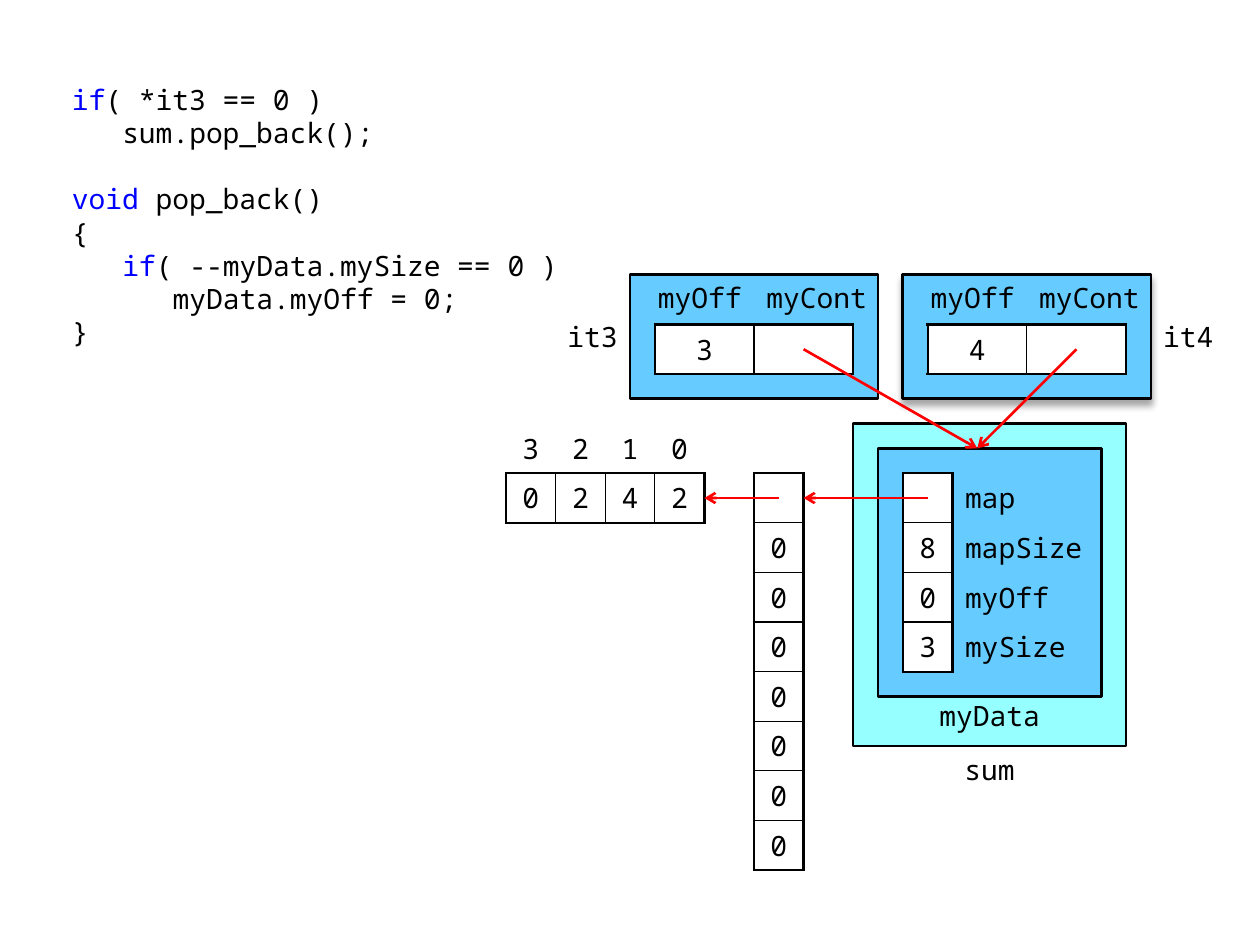
from pptx import Presentation
from pptx.dml.color import RGBColor
from pptx.enum.shapes import MSO_CONNECTOR, MSO_SHAPE
from pptx.enum.text import MSO_ANCHOR, PP_ALIGN
from pptx.oxml import parse_xml
from pptx.oxml.ns import nsdecls, qn
from pptx.util import Cm, Inches, Pt

LEFT, CENTER, RIGHT = PP_ALIGN.LEFT, PP_ALIGN.CENTER, PP_ALIGN.RIGHT
TOP, MIDDLE = MSO_ANCHOR.TOP, MSO_ANCHOR.MIDDLE
PROCESS = MSO_SHAPE.FLOWCHART_PROCESS
STRAIGHT = MSO_CONNECTOR.STRAIGHT

COLORS = {"text": "000000", "keyword": "0000FF", "arrow": "FF0000",
          "container": "96FFFF", "object": "66CCFF", "cell": "FFFFFF"}
PLAIN_TABLE = "{2D5ABB26-0587-4C30-8999-92F81FD0307C}"


class Diagram:
    """Draws on a grid of one-centimetre cells."""
    font, size, thick, thin = "Noto Sans Mono", 16, 1.5, 0.75
    line_height, indent = 19, 0.4
    left, top = 0.2, 0.54

    def __init__(self, slide):
        self.slide = slide

    def point(self, column, row):
        return Cm(self.left + column), Cm(self.top + row)

    def area(self, column, row, width, height):
        return *self.point(column, row), Cm(width), Cm(height)

    def color(self, name):
        return RGBColor.from_string(COLORS[name])

    def run(self, paragraph, text, color="text"):
        run = paragraph.add_run()
        run.text = text
        run.font.name, run.font.size = self.font, Pt(self.size)
        run.font.color.rgb = self.color(color)

    def label(self, column, row, width, height, text, align=CENTER,
              anchor=TOP, inset=0.05):
        frame = self.slide.shapes.add_textbox(
            *self.area(column, row, width, height)).text_frame
        frame.word_wrap, frame.vertical_anchor = True, anchor
        frame.margin_left = Inches(0.1 if align == LEFT else 0.02)
        frame.margin_right = Inches(0.1 if align == RIGHT else 0.02)
        frame.margin_top, frame.margin_bottom = Inches(inset), 0
        if anchor == MIDDLE:
            frame.margin_bottom = frame.margin_top
        frame.paragraphs[0].alignment = align
        self.run(frame.paragraphs[0], text)

    def code(self, column, row, width, height, lines):
        """Each line is (indent level, lines skipped before it, runs)."""
        frame = self.slide.shapes.add_textbox(
            *self.area(column, row, width, height)).text_frame
        frame.word_wrap = True
        for index, (level, skipped, runs) in enumerate(lines):
            paragraph = frame.add_paragraph() if index else frame.paragraphs[0]
            paragraph.line_spacing = Pt(self.line_height)
            paragraph.space_before = Pt(skipped * self.line_height)
            properties = paragraph._p.get_or_add_pPr()
            properties.set("marL", str(Inches(level * self.indent)))
            for text, color in runs:
                self.run(paragraph, text, color)

    def box(self, column, row, width, height, fill, shadow=False):
        shape = self.slide.shapes.add_shape(
            PROCESS, *self.area(column, row, width, height))
        shape.shadow.inherit = False
        shape.fill.solid()
        shape.fill.fore_color.rgb = self.color(fill)
        shape.line.color.rgb = self.color("text")
        shape.line.width = Pt(self.thick)
        if shadow:
            effects = shape._element.spPr.find(qn("a:effectLst"))
            effects.append(parse_xml(
                f'<a:outerShdw {nsdecls("a")} blurRad="{Pt(4)}" dist="{Pt(3)}" '
                'dir="5400000" rotWithShape="0"><a:srgbClr val="000000">'
                '<a:alpha val="35000"/></a:srgbClr></a:outerShdw>'))

    def arrow(self, start, end):
        connector = self.slide.shapes.add_connector(
            STRAIGHT, *self.point(*start), *self.point(*end))
        connector.line.color.rgb = self.color("arrow")
        connector.line.width = Pt(self.thick)
        connector.line._get_or_add_ln().append(
            parse_xml(f'<a:tailEnd {nsdecls("a")} type="arrow"/>'))
        connector._element.spPr.append(
            parse_xml(f'<a:effectLst {nsdecls("a")}/>'))

    def border(self, cell, side, width):
        cell._tc.get_or_add_tcPr().append(parse_xml(
            f'<a:ln{side} {nsdecls("a")} w="{Pt(width)}"><a:solidFill>'
            f'<a:srgbClr val="{COLORS["text"]}"/></a:solidFill></a:ln{side}>'))

    def table(self, column, row, widths, rows, label_rows=0, label_columns=0):
        """Leading label rows and trailing label columns have no frame."""
        graphic = self.slide.shapes.add_table(
            len(rows), len(widths),
            *self.area(column, row, sum(widths), len(rows)))
        table = graphic.table
        table.first_row = table.horz_banding = False
        table._tbl.tblPr.find(qn("a:tableStyleId")).text = PLAIN_TABLE
        for index, width in enumerate(widths):
            table.columns[index].width = Cm(width)
        last_row, last_column = len(rows) - 1, len(widths) - 1 - label_columns
        for r, values in enumerate(rows):
            table.rows[r].height = Cm(1)
            for c, text in enumerate(values):
                cell = table.cell(r, c)
                framed = r >= label_rows and c <= last_column
                cell.vertical_anchor = MIDDLE
                cell.margin_top = cell.margin_bottom = Inches(0.04)
                side = 0.1 if c > last_column else 0.04
                cell.margin_left = cell.margin_right = Inches(side)
                paragraph = cell.text_frame.paragraphs[0]
                paragraph.alignment = LEFT if c > last_column else CENTER
                if text:
                    self.run(paragraph, text)
                else:
                    ending = paragraph._p.get_or_add_endParaRPr()
                    ending.set("sz", str(self.size * 100))
                if not framed:
                    cell.fill.background()
                    continue
                outer = {"L": c == 0, "R": c == last_column,
                         "T": r == label_rows, "B": r == last_row}
                for edge, is_outer in outer.items():
                    self.border(cell, edge, self.thick if is_outer else self.thin)
                cell.fill.solid()
                cell.fill.fore_color.rgb = self.color("cell")

    def iterator(self, column, row, offset, shadow=False):
        self.box(column, row, 5, 2.5, "object", shadow)
        self.table(column + 0.5, row + 1, [2, 2], [[offset, ""]])
        self.label(column, row, 2.5, 1, "myOff", RIGHT)
        self.label(column + 2.5, row, 2.5, 1, "myCont", LEFT)


def main():
    presentation = Presentation()
    presentation.slide_width, presentation.slide_height = Inches(10), Inches(7.5)
    slide = presentation.slides.add_slide(presentation.slide_layouts[6])
    diagram = Diagram(slide)

    # Source code
    diagram.code(1, 1, 10.5, 5.5, [
        (0, 0, [("if", "keyword"), ("( *it3 == 0 )", "text")]),
        (1, 0, [("sum.pop_back();", "text")]),
        (0, 1, [("void ", "keyword"), ("pop_back()", "text")]),
        (0, 0, [("{", "text")]),
        (1, 0, [("if", "keyword"), ("( --myData.mySize == 0 )", "text")]),
        (2, 0, [("myData.myOff = 0;", "text")]),
        (0, 0, [("}", "text")]),
    ])

    # Deque object with its data members
    diagram.box(17, 8, 5.5, 6.5, "container")
    diagram.label(17.5, 14.5, 4.5, 1, "sum")
    diagram.box(17.5, 8.5, 4.5, 5, "object")
    diagram.label(18.5, 13.5, 2.5, 1, "myData", inset=0.02)
    diagram.table(18, 9, [1, 3], [["", "map"], ["8", "mapSize"],
                                  ["0", "myOff"], ["3", "mySize"]],
                  label_columns=1)

    # Map of blocks and the first block under its indices
    diagram.table(15, 9, [1], [[""]] + [["0"]] * 7)
    diagram.table(10, 8, [1] * 4, ["3210", "0242"], label_rows=1)

    # Iterators
    diagram.iterator(18, 5, "4", shadow=True)
    diagram.iterator(12.5, 5, "3")
    diagram.label(11, 5.5, 1.5, 1.5, "it3", RIGHT, MIDDLE)
    diagram.label(23, 5.5, 1.5, 1.5, "it4", LEFT, MIDDLE)

    # Pointers
    for start, end in [((15.5, 9.5), (14, 9.5)), ((18.5, 9.5), (16, 9.5)),
                       ((16, 6.5), (19.5, 8.5)), ((21.5, 6.5), (19.5, 8.5))]:
        diagram.arrow(start, end)

    presentation.save("out.pptx")


if __name__ == "__main__":
    main()
